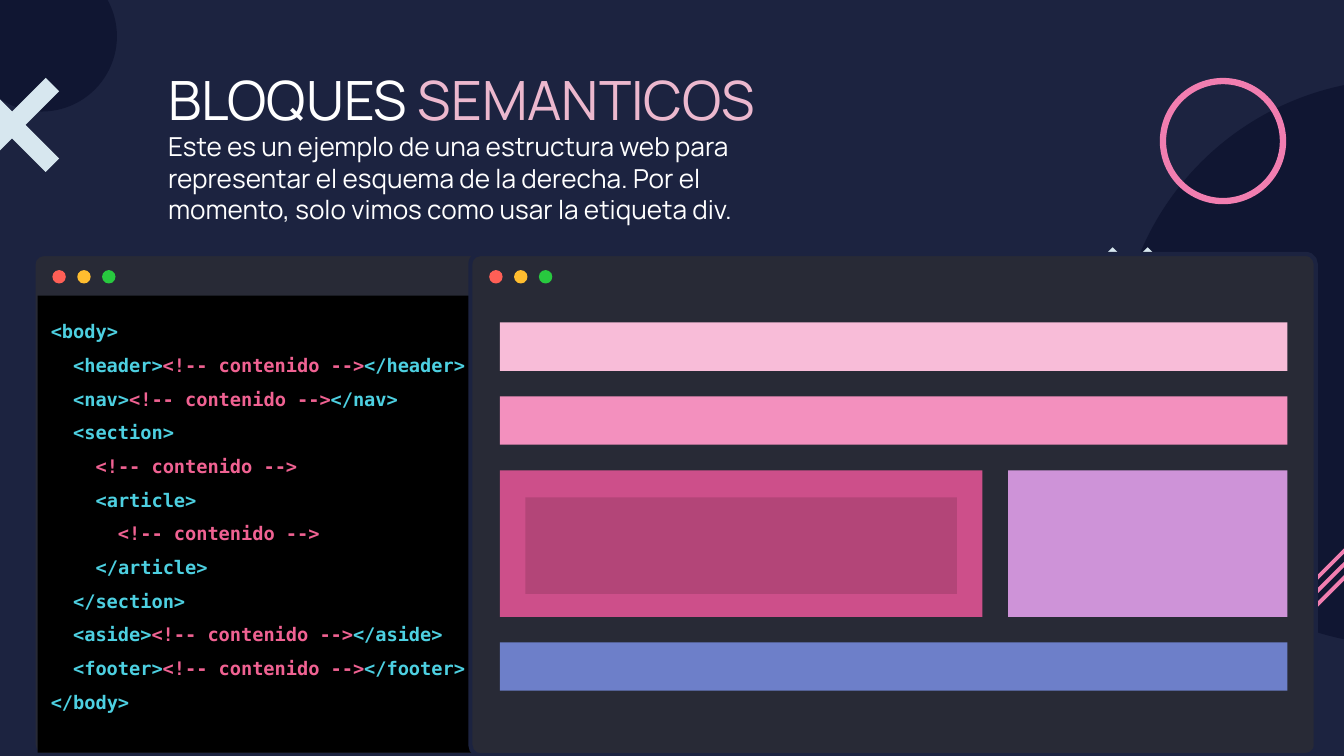
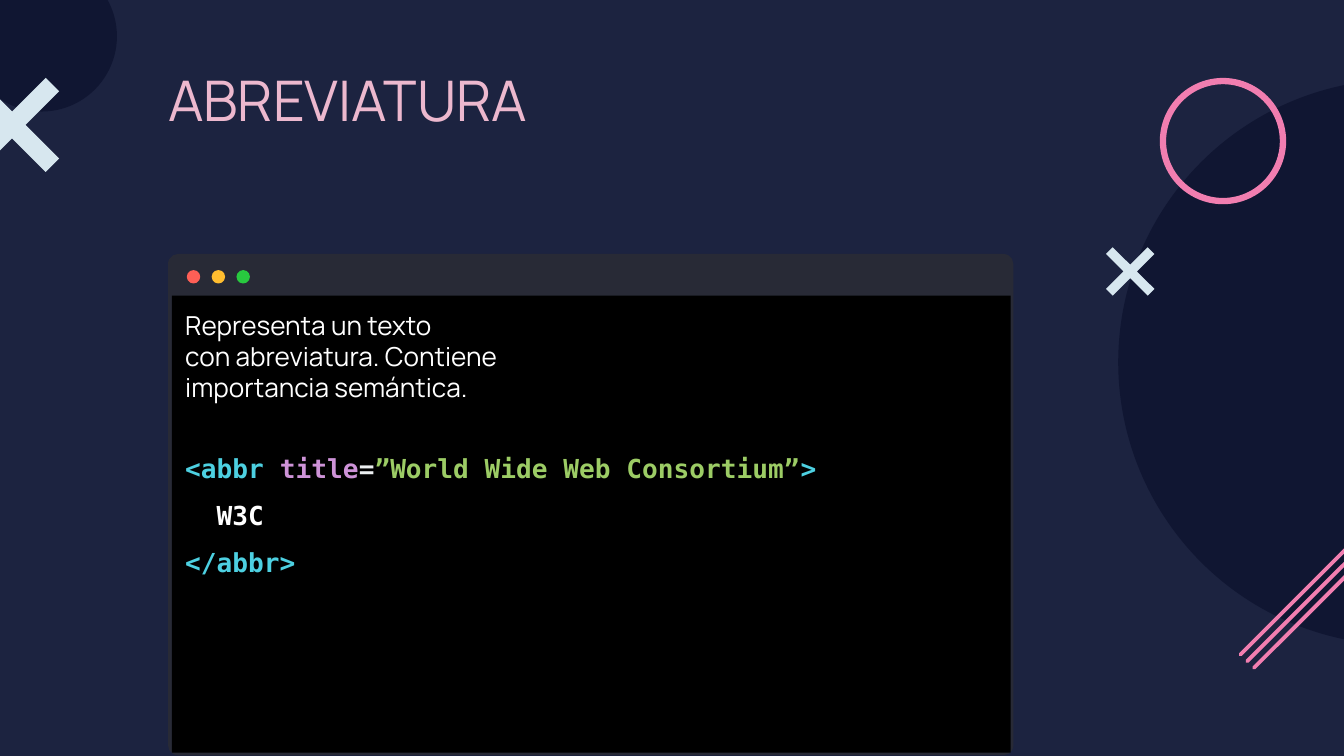
from copy import deepcopy

from pptx import Presentation
from pptx.dml.color import RGBColor
from pptx.enum.shapes import MSO_CONNECTOR, MSO_SHAPE
from pptx.enum.text import MSO_ANCHOR, MSO_AUTO_SIZE, PP_ALIGN
from pptx.oxml.ns import qn
from pptx.oxml.xmlchemy import OxmlElement
from pptx.util import Inches, Pt

RECT, ROUND = MSO_SHAPE.RECTANGLE, MSO_SHAPE.ROUNDED_RECTANGLE
OVAL, RING = MSO_SHAPE.OVAL, MSO_SHAPE.DONUT
LINE = MSO_CONNECTOR.STRAIGHT
TOP, LEFT, FIXED = MSO_ANCHOR.TOP, PP_ALIGN.LEFT, MSO_AUTO_SIZE.NONE

SANS, MONO = "Manrope", "DejaVu Sans Mono"
HEX = {
    "night": "1C2340", "deep": "101632", "ice": "D7E7EF", "pink": "F17EB0",
    "blush": "ECB8CE", "white": "FFFFFF", "black": "000000", "frame": "282A36",
    "red": "FF5F56", "amber": "FFBD2F", "green": "28C93F",
    "tag": "4DD0E1", "note": "F06292", "attr": "CE93D8", "sign": "ECEFF1",
    "value": "9CCC65", "header": "F8BCD8", "nav": "F390BE", "section": "CD4F8A",
    "article": "B34578", "aside": "CE93D8", "footer": "6D7FC9",
}
NOTE = ("<!-- contenido -->", "note")


def tint(name):
    """Return the named colour."""
    return RGBColor.from_string(HEX[name])


def paint(shape, fill, edge=None):
    """Give a shape a flat fill and an optional edge."""
    shape.shadow.inherit = False
    shape.fill.solid()
    shape.fill.fore_color.rgb = tint(fill)
    if edge:
        shape.line.color.rgb = tint(edge)
        shape.line.width = Pt(2.25)
    else:
        shape.line.fill.background()
    return shape


def draw(shapes, kind, box, fill, edge=None):
    """Add a preset shape in a box given in inches."""
    return paint(shapes.add_shape(kind, *map(Inches, box)), fill, edge)


def style(run, font, size, hue, bold=False):
    """Format one run."""
    run.font.name, run.font.size, run.font.bold = font, Pt(size), bold
    run.font.color.rgb = tint(hue)


def frame(shape):
    """Prepare a shape's text frame."""
    text = shape.text_frame
    text.word_wrap, text.auto_size = True, FIXED
    text.vertical_anchor = TOP
    text.margin_left = text.margin_right = Inches(0.1)
    text.margin_top = text.margin_bottom = Inches(0.1)
    return text


def write(para, parts, font, size, bold=False):
    """Fill a paragraph with coloured parts."""
    para.alignment = LEFT
    for words, hue in parts:
        run = para.add_run()
        run.text = words
        style(run, font, size, hue, bold)


def code(text, lines, size, more=False):
    """Write indented code lines, after any text when more is set."""
    for i, (depth, *parts) in enumerate(lines):
        para = text.add_paragraph() if more or i else text.paragraphs[0]
        para.line_spacing = 1.5
        props = para._p.get_or_add_pPr()
        props.set("marL", str(Pt(depth * 0.6 * size)))
        props.set("indent", "0")
        write(para, parts, MONO, size, True)


def title(slide, parts, size, lead=None):
    """Place the title and an optional lead below it."""
    shape = slide.shapes.title
    shape.left, shape.top = Inches(1.15), Inches(0.39)
    shape.width, shape.height = Inches(4.86), Inches(0.86)
    para = frame(shape).paragraphs[0]
    write(para, parts, SANS, size)
    if lead:
        para.add_line_break()
        gap = para._p.find(qn("a:br"))
        gap.append(deepcopy(para.runs[-1]._r.rPr))
        write(para, [(lead, "white")], SANS, 14)


def cross(shapes, x, y, long, short):
    """Draw a diagonal cross around a centre."""
    turn = [(0, short - long), (short, -long), (long, -short)]
    spots = []
    for _ in range(4):
        spots += [(Inches(x + a), Inches(y + b)) for a, b in turn]
        turn = [(-b, a) for a, b in turn]
    pen = shapes.build_freeform(*spots[0])
    pen.add_line_segments(spots[1:], close=True)
    paint(pen.convert_to_shape(), "ice")


def stripes(shapes, x, y, span):
    """Draw three parallel diagonal lines from a lower left point."""
    for i in range(3):
        a, b = x + 0.05 * i, y + 0.05 * i
        line = shapes.add_connector(
            LINE, Inches(a), Inches(b), Inches(a + span), Inches(b - span))
        line.line.color.rgb = tint("pink")
        line.line.width = Pt(2)
        line.line._get_or_add_ln().set("cap", "rnd")
        line._element.spPr.append(OxmlElement("a:effectLst"))


def decor(slide):
    """Draw the ornaments shared by the slides."""
    shapes = slide.shapes
    draw(shapes, OVAL, (-0.25, -0.29, 1.12, 1.12), "deep")
    draw(shapes, OVAL, (8.32, 0.59, 4.21, 4.21), "deep")
    cross(shapes, 8.41, 2.02, 0.18, 0.13)
    cross(shapes, 0.09, 0.93, 0.35, 0.25)
    draw(shapes, RING, (8.63, 0.58, 0.94, 0.94), "pink").adjustments[0] = 0.05
    stripes(shapes, 9.23, 4.87, 0.9)


def window(slide, x, y, back=True, edge=None):
    """Draw an application window with its three buttons."""
    shapes = slide.shapes.add_group_shape().shapes
    if back:
        rim = draw(shapes, ROUND, (x - 0.05, y - 0.05, 6.4, 3.79), "night")
        rim.adjustments[0] = 0.02
    pane = draw(shapes, ROUND, (x, y, 6.29, 3.73), "frame", edge)
    pane.adjustments[0] = 0.02
    for i, hue in enumerate(("red", "amber", "green")):
        draw(shapes, OVAL, (x + 0.14 + 0.185 * i, y + 0.12, 0.1, 0.1), hue)


def screen(slide, x, y):
    """Add the black text area of a window and return its text frame."""
    return frame(draw(slide.shapes, RECT, (x + 0.03, y + 0.31, 6.24, 3.4), "black"))


def blocks(slide, x, y, wide):
    """Draw the page scheme as stacked blocks."""
    bar, tall, gap, main = 0.36, 1.09, 0.19, 3.59
    mid = y + 2 * (bar + gap)
    side = main + gap
    plan = {
        "header": (x, y, wide, bar),
        "nav": (x, y + bar + gap, wide, bar),
        "section": (x, mid, main, tall),
        "aside": (x + side, mid, wide - side, tall),
        "footer": (x, mid + tall + gap, wide, bar),
        "article": (x + gap, mid + 0.2, main - 2 * gap, 0.72),
    }
    for name, box in plan.items():
        draw(slide.shapes, RECT, box, name)


def pair(name):
    """Return an indented line with an element and its content."""
    return (2, (f"<{name}>", "tag"), NOTE, (f"</{name}>", "tag"))


def layout(slide):
    """Build the slide on semantic blocks."""
    decor(slide)
    title(slide, [("BLOQUES", "white"), (" SEMANTICOS", "blush")], 29,
          "Este es un ejemplo de una estructura web para representar el esquema "
          "de la derecha. Por el momento, solo vimos como usar la etiqueta div.")
    window(slide, 0.25, 1.89, edge="night")
    code(screen(slide, 0.25, 1.89), [
        (0, ("<body>", "tag")),
        pair("header"),
        pair("nav"),
        (2, ("<section>", "tag")),
        (4, NOTE),
        (4, ("<article>", "tag")),
        (6, NOTE),
        (4, ("</article>", "tag")),
        (2, ("</section>", "tag")),
        pair("aside"),
        pair("footer"),
        (0, ("</body>", "tag")),
    ], 10)
    window(slide, 3.5, 1.89, back=False, edge="night")
    blocks(slide, 3.72, 2.4, 5.86)


def abbr(slide):
    """Build the slide on abbreviations."""
    decor(slide)
    title(slide, [("ABREVIATURA", "blush")], 30)
    window(slide, 1.25, 1.89)
    text = screen(slide, 1.25, 1.89)
    text.text = ("Representa un texto\ncon abreviatura. Contiene\n"
                 "importancia semántica.")
    for para in text.paragraphs:
        para.alignment = LEFT
        style(para.runs[0], SANS, 14, "white")
    code(text, [
        (0, ("<abbr ", "tag"), ("title", "attr"), ("=", "sign"),
         ("”World Wide Web Consortium”", "value"), (">", "tag")),
        (2, ("W3C", "white")),
        (0, ("</abbr>", "tag")),
    ], 14, more=True)
    text.paragraphs[3].space_before = Pt(18)


def main():
    """Build and save the deck."""
    deck = Presentation()
    deck.slide_width = Inches(10)
    deck.slide_height = deck.slide_width * 9 // 16
    ground = deck.slide_master.background.fill
    ground.solid()
    ground.fore_color.rgb = tint("night")
    for build in (layout, abbr):
        build(deck.slides.add_slide(deck.slide_layouts[5]))
    deck.save("out.pptx")


if __name__ == "__main__":
    main()
